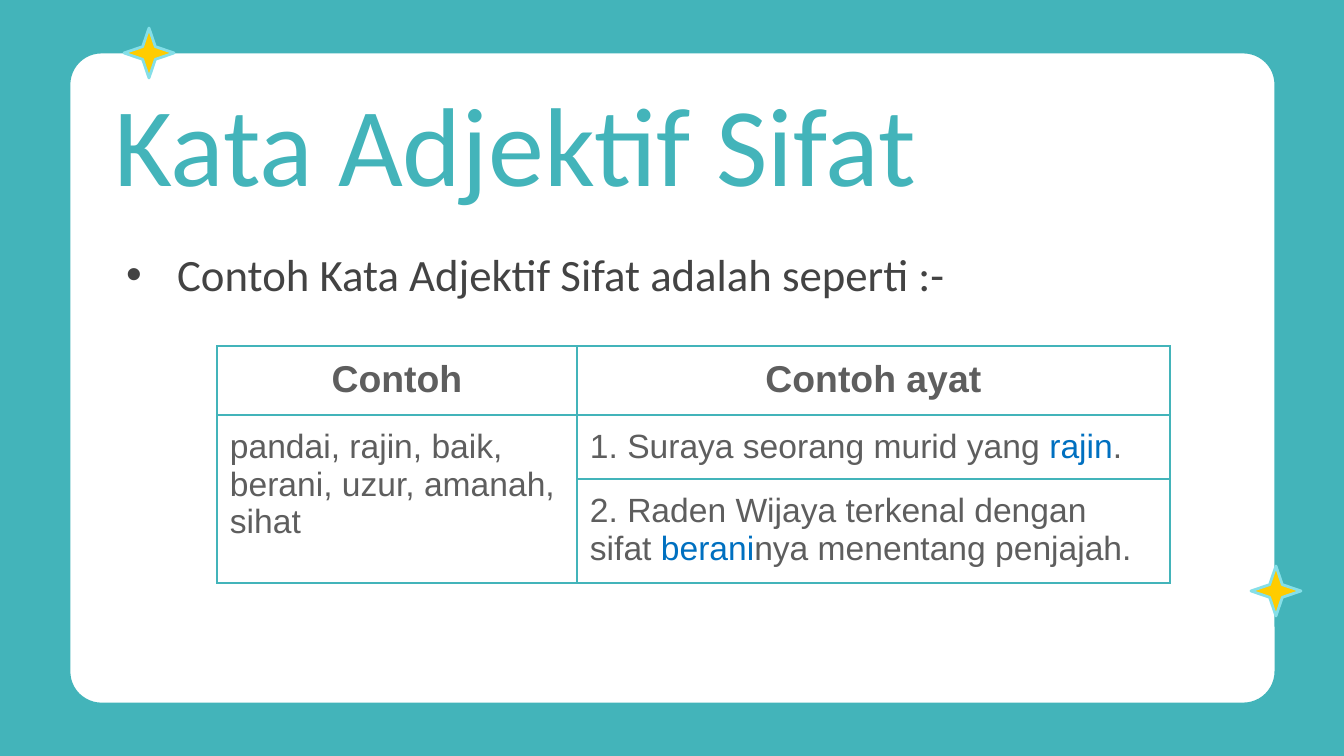
"""Build the slide on Kata Adjektif Sifat with a table of examples."""
from lxml.etree import SubElement
from pptx import Presentation
from pptx.dml.color import RGBColor
from pptx.enum.shapes import MSO_SHAPE
from pptx.enum.text import MSO_ANCHOR, MSO_AUTO_SIZE, PP_ALIGN
from pptx.oxml.ns import qn
from pptx.util import Pt

PX = 6804
COLORS = {"teal": "43B4BA", "white": "FFFFFF", "gold": "FFCC00", "sky": "85DFE8",
          "dark": "434343", "gray": "5E5E5E", "blue": "0070C0"}
TITLE = {"name": "Calibri", "size": Pt(60), "bold": False}
LIST = {"name": "Calibri", "size": Pt(24), "bold": False}
HEAD = {"name": "Arial", "size": Pt(20), "bold": True}
CELL = {"name": "Arial", "size": Pt(18), "bold": False}
INSET = dict.fromkeys(("margin_left", "margin_right", "margin_top", "margin_bottom"), 13 * PX)
FRAME = {**INSET, "word_wrap": True, "auto_size": MSO_AUTO_SIZE.NONE}


def rgb(name):
    return RGBColor.from_string(COLORS[name])


def write(para, parts, style):
    for text, color in parts:
        run = para.add_run()
        run.text = text
        run.font.color.rgb = rgb(color)
        for key, value in style.items():
            setattr(run.font, key, value)


deck = Presentation()
deck.slide_width, deck.slide_height = 1344 * PX, 756 * PX
slide = deck.slides.add_slide(deck.slide_layouts[1])
slide.background.fill.solid()
slide.background.fill.fore_color.rgb = rgb("teal")
title, body = slide.placeholders

shapes = [
    (MSO_SHAPE.ROUNDED_RECTANGLE, (69, 52, 1207, 652), 0.05, "white", "teal"),
    (MSO_SHAPE.STAR_4_POINT, (124, 28, 50, 50), 0.18, "gold", "sky"),
    (MSO_SHAPE.STAR_4_POINT, (1251, 566, 50, 50), 0.18, "gold", "sky"),
]
for kind, box, adj, fill, line in shapes:
    shape = slide.shapes.add_shape(kind, *[n * PX for n in box])
    shape.adjustments[0] = adj
    shape.shadow.inherit = False
    shape.fill.solid()
    shape.fill.fore_color.rgb = rgb(fill)
    shape.line.color.rgb = rgb(line)
    shape.line.width = Pt(1.5)

texts = [
    (title, (101, 103, 899, 78), MSO_ANCHOR.MIDDLE, "Kata Adjektif Sifat", "teal", TITLE),
    (body, (113, 207, 1183, 118), MSO_ANCHOR.TOP,
     "Contoh Kata Adjektif Sifat adalah seperti :-", "dark", LIST),
]
for holder, box, anchor, text, color, style in texts:
    slide.shapes._spTree.append(holder._element)
    holder.left, holder.top, holder.width, holder.height = [n * PX for n in box]
    frame = holder.text_frame
    for key, value in {**FRAME, "vertical_anchor": anchor}.items():
        setattr(frame, key, value)
    para = frame.paragraphs[0]
    para.alignment = PP_ALIGN.LEFT
    para.space_before = Pt(0)
    write(para, [(text, color)], style)

item = body.text_frame.paragraphs[0]
item.line_spacing = 1.5
props = item._p.get_or_add_pPr()
props.set("marL", str(51 * PX))
props.set("indent", str(-51 * PX))
SubElement(SubElement(props, qn("a:buClr")), qn("a:srgbClr"), val=COLORS["dark"])
SubElement(props, qn("a:buFont"), typeface="Arial")
SubElement(props, qn("a:buChar"), char="•")

cols, rows = (360, 593), (69, 64, 104)
cells = [
    [[("Contoh", "gray")], [("Contoh ayat", "gray")]],
    [[("pandai, rajin, baik, berani, uzur, amanah, sihat", "gray")],
     [("1. Suraya seorang murid yang ", "gray"), ("rajin", "blue"), (".", "gray")]],
    [[], [("2. Raden Wijaya terkenal dengan sifat ", "gray"), ("berani", "blue"),
          ("nya menentang penjajah.", "gray")]],
]
table = slide.shapes.add_table(len(rows), len(cols), 217 * PX, 346 * PX,
                               sum(cols) * PX, sum(rows) * PX).table
table.first_row = table.horz_banding = False
for col, width in zip(table.columns, cols):
    col.width = width * PX
for row, height, line in zip(table.rows, rows, cells):
    row.height = height * PX
    head = line is cells[0]
    for cell, parts in zip(row.cells, line):
        for key, value in INSET.items():
            setattr(cell, key, value)
        edges = cell._tc.get_or_add_tcPr()
        for side in ("lnL", "lnR", "lnT", "lnB"):
            edge = SubElement(edges, qn("a:" + side), w=str(Pt(1)))
            SubElement(SubElement(edge, qn("a:solidFill")), qn("a:srgbClr"), val=COLORS["teal"])
        cell.fill.background()
        para = cell.text_frame.paragraphs[0]
        para.alignment = PP_ALIGN.CENTER if head else PP_ALIGN.LEFT
        write(para, parts, HEAD if head else CELL)
table.cell(1, 0).merge(table.cell(2, 0))

deck.save("out.pptx")
